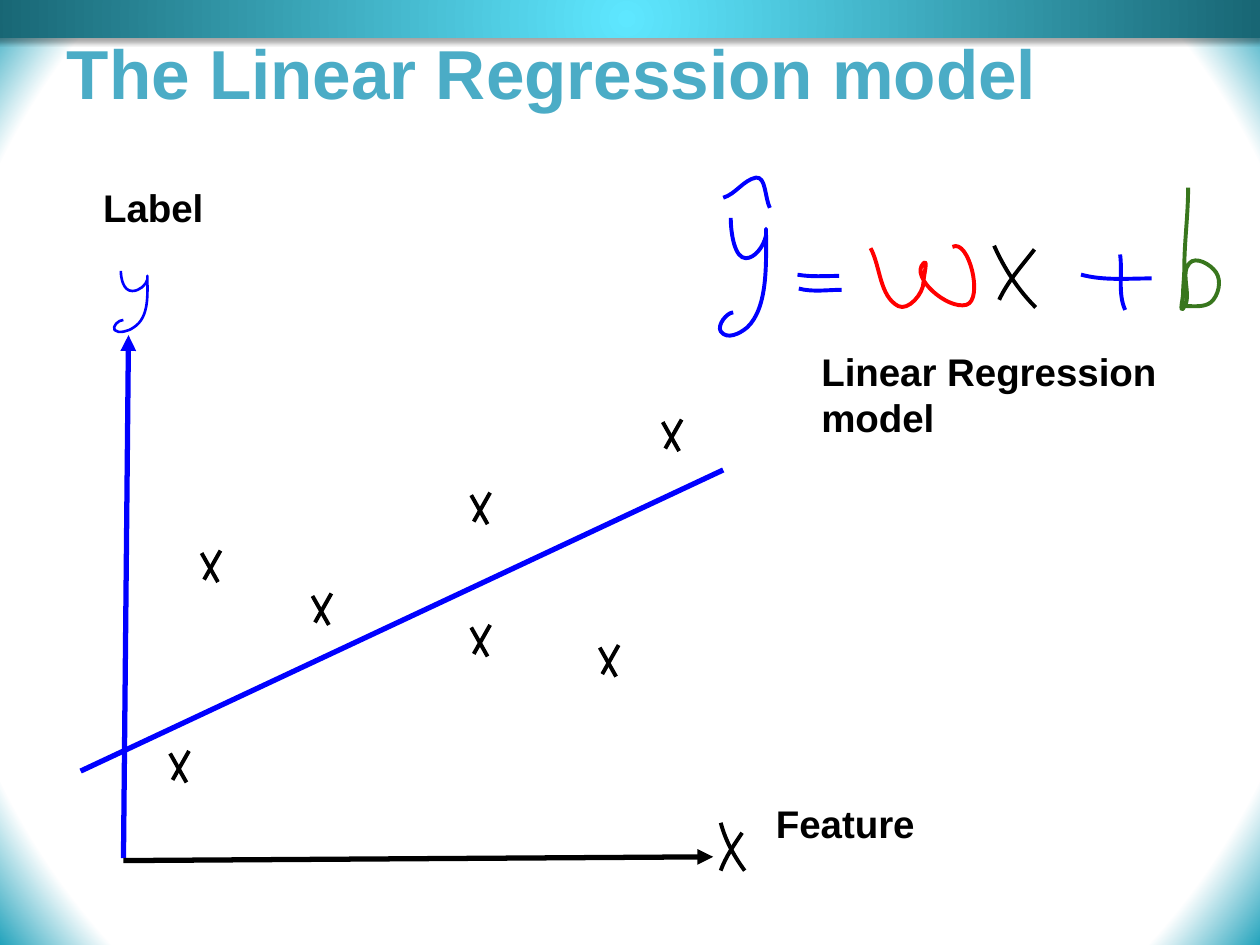
from lxml import etree
from pptx import Presentation
from pptx.dml.color import RGBColor
from pptx.enum.shapes import MSO_CONNECTOR, MSO_SHAPE
from pptx.enum.text import MSO_ANCHOR, PP_ALIGN
from pptx.oxml import parse_xml
from pptx.oxml.ns import nsdecls, qn
from pptx.util import Pt

PX = 9144  # 100 px to the inch
TITLE_ONLY = 5
STRAIGHT = MSO_CONNECTOR.STRAIGHT
RECT = MSO_SHAPE.RECTANGLE
TOP, MIDDLE = MSO_ANCHOR.TOP, MSO_ANCHOR.MIDDLE
LEFT = PP_ALIGN.LEFT

COLORS = {
    "white": "FFFFFF", "edge": "23A3BC", "bar_mid": "5EE7FF",
    "bar_end": "186674", "title": "4BACC6", "black": "000000",
    "blue": "0000FF", "red": "FF0000", "green": "38761D",
}

# Each stroke is a start point followed by cubic Bézier triples, in px.
FORMULA_X = [
    [(789, 195), (797, 213), (808, 230), (822, 244)],
    [(821, 198), (811, 211), (800, 223), (793, 238)],
]
Y_LETTER = [
    [(580, 173), (580, 185), (583, 205), (592, 205), (599, 205), (606, 196),
     (608, 187), (608, 185), (608, 180), (608, 182), (608, 208), (610, 244),
     (593, 260), (587, 265), (577, 270), (572, 263), (569, 258), (577, 248),
     (582, 248)],
]
EQUALS = [
    [(633, 218), (644, 220), (655, 219), (666, 219)],
    [(634, 229), (645, 232), (657, 230), (668, 230)],
]
WEIGHT = [
    [(691, 197), (699, 212), (698, 235), (713, 243), (721, 247), (733, 233),
     (733, 224), (733, 219), (737, 205), (733, 209), (722, 220), (752, 246),
     (767, 242), (781, 238), (769, 189), (756, 196)],
]
PLUS = [
    [(858, 218), (876, 223), (896, 221), (914, 221)],
    [(889, 202), (891, 217), (887, 233), (893, 246)],
]
BIAS = [
    [(943, 149), (943, 171), (940, 192), (940, 213), (940, 220), (939, 227),
     (939, 233), (939, 237), (936, 248), (939, 245), (947, 236), (936, 217),
     (944, 209), (949, 203), (961, 210), (965, 216), (970, 223), (967, 235),
     (961, 240), (956, 244), (948, 243), (942, 243), (940, 243), (938, 242),
     (938, 241)],
]
HAT = [
    [(574, 157), (584, 154), (590, 143), (600, 141),
     (608, 140), (607, 157), (611, 165)],
]
AXIS_Y = [
    [(96, 215), (96, 221), (98, 231), (105, 231), (111, 231), (116, 226),
     (117, 222), (117, 221), (117, 218), (117, 219), (117, 233), (119, 252),
     (106, 260), (102, 263), (94, 265), (91, 262), (89, 259), (94, 254),
     (98, 254)],
]
AXIS_X = [
    [(572, 653), (576, 668), (583, 680), (591, 691)],
    [(589, 661), (583, 670), (576, 680), (572, 691)],
]
FORMULA = [(Y_LETTER, "blue"), (EQUALS, "blue"), (WEIGHT, "red"),
           (FORMULA_X, "black"), (PLUS, "blue"), (BIAS, "green"),
           (HAT, "blue")]
DATA_POINTS = [(160, 437), (248, 471), (135, 596), (374, 391),
               (476, 512), (374, 496), (526, 333)]


def rgb(name):
    return RGBColor.from_string(COLORS[name])


def emu(*lengths):
    return [v * PX for v in lengths]


def fill_radial(fill, owner, stops):
    """Fill from the centre outwards; stops are (position, colour name)."""
    fill.gradient()
    for stop, (pos, color) in zip(fill.gradient_stops, stops):
        stop.position = pos
        stop.color.rgb = rgb(color)
    grad = next(owner.element.iter(qn("a:gradFill")))
    grad.remove(grad.find(qn("a:lin")))
    grad.append(parse_xml(
        f'<a:path {nsdecls("a")} path="circle">'
        '<a:fillToRect l="50000" t="50000" r="50000" b="50000"/></a:path>'))


def write(sp, text, box, size, color, anchor=TOP):
    sp.left, sp.top, sp.width, sp.height = emu(*box)
    tf = sp.text_frame
    settings = {"word_wrap": True, "vertical_anchor": anchor}
    for side in ("left", "top", "right", "bottom"):
        settings[f"margin_{side}"] = 10 * PX
    for key, value in settings.items():
        setattr(tf, key, value)
    p = tf.paragraphs[0]
    p.alignment = LEFT
    r = p.add_run()
    r.text = text
    for key, value in {"name": "Arial", "size": Pt(size), "bold": True}.items():
        setattr(r.font, key, value)
    r.font.color.rgb = rgb(color)


def add_label(s, text, box):
    write(s.shapes.add_textbox(*emu(*box)), text, box, 22, "black")


def add_line(shapes, start, end, color, width, arrow=None):
    """Draw a line; arrow is headEnd (at start) or tailEnd (at end)."""
    line = shapes.add_connector(STRAIGHT, *emu(*start, *end))
    line.line.color.rgb = rgb(color)
    line.line.width = Pt(width)
    if arrow:
        ln = line.element.spPr.find(qn("a:ln"))
        etree.SubElement(ln, qn(f"a:{arrow}"), type="triangle")
    etree.SubElement(line.element.spPr, qn("a:effectLst"))


def add_stroke(shapes, stroke):
    """Outline the anchor points, then bend each segment into its curve."""
    anchors = stroke[::3]
    builder = shapes.build_freeform(*anchors[0], scale=PX)
    builder.add_line_segments(anchors[1:], close=False)
    sp = builder.convert_to_shape()
    left = min(x for x, _ in anchors)
    top = min(y for _, y in anchors)
    for i, segment in enumerate(list(sp.element.iter(qn("a:lnTo")))):
        curve = etree.Element(qn("a:cubicBezTo"))
        for x, y in stroke[3 * i + 1:3 * i + 4]:
            etree.SubElement(curve, qn("a:pt"), x=str(x - left), y=str(y - top))
        segment.getparent().replace(segment, curve)
    return sp


def add_glyph(shapes, strokes, color, width=2.25):
    for stroke in strokes:
        sp = add_stroke(shapes, stroke)
        sp.shadow.inherit = False
        sp.fill.background()
        sp.line.color.rgb = rgb(color)
        sp.line.width = Pt(width)


def add_top_bar(s, box):
    bar = s.shapes.add_shape(RECT, *emu(*box))
    bar.line.fill.background()
    fill_radial(bar.fill, bar, [(0, "bar_mid"), (1, "bar_end")])
    bar.shadow.inherit = False
    effects = bar.element.spPr.find(qn("a:effectLst"))
    effects.append(parse_xml(
        f'<a:outerShdw {nsdecls("a")} blurRad="{Pt(3.1)}" dist="{Pt(1.8)}" '
        'dir="5400000" rotWithShape="0"><a:srgbClr val="000000">'
        '<a:alpha val="35000"/></a:srgbClr></a:outerShdw>'))
    s.shapes.element.insert(2, bar.element)  # behind the title


def add_axes(s):
    axes = s.shapes.add_group_shape().shapes
    add_line(axes, (102, 266), (98, 681), "blue", 3, "headEnd")
    add_line(axes, (98, 683), (566, 680), "black", 3, "tailEnd")
    add_line(axes, (64, 612), (574, 373), "blue", 3)


def add_formula(s):
    formula = s.shapes.add_group_shape().shapes
    for strokes, color in FORMULA:
        add_glyph(formula, strokes, color)


def add_data(s):
    add_glyph(s.shapes, AXIS_Y, "blue", 1.5)
    add_glyph(s.shapes.add_group_shape().shapes, AXIS_X, "black")
    for x, y in DATA_POINTS:
        cross = s.shapes.add_group_shape().shapes
        add_line(cross, (x, y + 2), (x + 13, y + 25), "black", 2.25)
        add_line(cross, (x + 15, y), (x + 2, y + 23), "black", 2.25)


def main():
    prs = Presentation()
    prs.slide_width, prs.slide_height = emu(1000, 750)
    s = prs.slides.add_slide(prs.slide_layouts[TITLE_ONLY])
    fill_radial(s.background.fill, s, [(0.89, "white"), (1, "edge")])
    add_top_bar(s, (-5, 0, 1005, 30))
    write(s.shapes.title, "The Linear Regression model",
          (43, 15, 932, 84), 39.6, "title", MIDDLE)
    add_label(s, "Linear Regression model", (642, 266, 341, 94))
    add_axes(s)
    add_formula(s)
    add_data(s)
    add_label(s, "Feature", (606, 625, 290, 57))
    add_label(s, "Label", (72, 136, 290, 57))
    prs.save("out.pptx")


if __name__ == "__main__":
    main()
